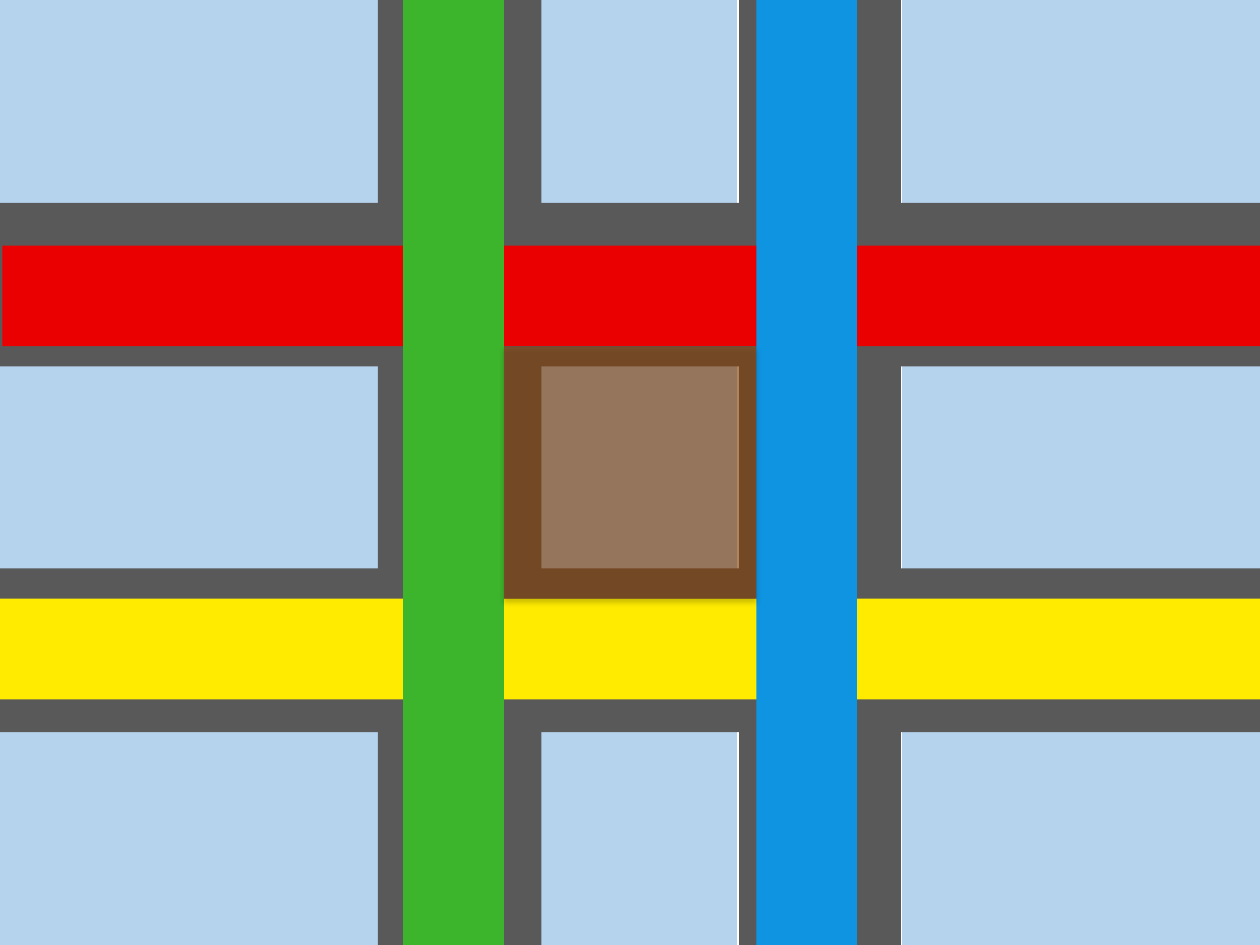
"""Build a slide of crossing coloured routes on grey roads around a shaded block."""
import pptx
import pptx.dml.color
import pptx.enum.shapes
import pptx.oxml
import pptx.oxml.ns
import pptx.util

Cm = pptx.util.Cm
RGBColor = pptx.dml.color.RGBColor
qn = pptx.oxml.ns.qn

SKY = RGBColor(0xB6, 0xD3, 0xEE)
ASPHALT = RGBColor(0x59, 0x59, 0x59)
WHITE = RGBColor(0xFF, 0xFF, 0xFF)
RED = RGBColor(0xEB, 0x00, 0x02)
YELLOW = RGBColor(0xFE, 0xEB, 0x00)
BLUE = RGBColor(0x0F, 0x94, 0xE2)
GREEN = RGBColor(0x3C, 0xB4, 0x2B)
BROWN = RGBColor(0x98, 0x48, 0x07)

SLIDE_WIDTH, SLIDE_HEIGHT = 25.4, 19.05
ROAD_LENGTH, ROAD_WIDTH = 27.31, 3.3
ROUTE_WIDTH = 2.03
BLOCK_SIDE = 5.08


def add_rectangle(shapes, left, top, width, height, color, rotation=0):
    rectangle = shapes.add_shape(
        pptx.enum.shapes.MSO_SHAPE.RECTANGLE, Cm(left), Cm(top), Cm(width), Cm(height)
    )
    rectangle.rotation = rotation
    rectangle.fill.solid()
    rectangle.fill.fore_color.rgb = color
    rectangle.line.fill.background()
    rectangle.shadow.inherit = False
    return rectangle


presentation = pptx.Presentation()
presentation.slide_width = Cm(SLIDE_WIDTH)
presentation.slide_height = Cm(SLIDE_HEIGHT)
slide = presentation.slides.add_slide(presentation.slide_layouts[6])

add_rectangle(slide.shapes, 0, 0, SLIDE_WIDTH, SLIDE_HEIGHT, SKY)

roads = [
    add_rectangle(slide.shapes, left, top, ROAD_LENGTH, ROAD_WIDTH, ASPHALT, rotation)
    for left, top, rotation in [
        (2.87, 8.59, 90),
        (-4.39, 7.82, 90),
        (-0.91, 4.09, 0),
        (-1.17, 11.46, 0),
    ]
]
right_road = roads[0]
right_road.line.color.rgb = WHITE
right_road.line.width = pptx.util.Pt(0.75)

routes = slide.shapes.add_group_shape()
for left, top, color, rotation in [
    (0.05, 4.95, RED, 0),
    (0, 12.07, YELLOW, 0),
    (3.56, 8.64, BLUE, 90),
    (-3.56, 8.64, GREEN, 90),
]:
    add_rectangle(routes.shapes, left, top, SLIDE_WIDTH, ROUTE_WIDTH, color, rotation)

block = add_rectangle(routes.shapes, 10.16, 6.99, BLOCK_SIDE, BLOCK_SIDE, BROWN)
block_color = block.element.spPr.find(qn("a:solidFill")).find(qn("a:srgbClr"))
block_color.append(pptx.oxml.parse_xml(
    f'<a:alpha {pptx.oxml.ns.nsdecls("a")} val="54000"/>'
))
block.element.spPr.find(qn("a:effectLst")).append(pptx.oxml.parse_xml(
    f'<a:outerShdw {pptx.oxml.ns.nsdecls("a")} blurRad="{pptx.util.Pt(3.1)}" '
    f'dist="{pptx.util.Pt(1.8)}" dir="5400000" rotWithShape="0">'
    '<a:srgbClr val="000000"><a:alpha val="35000"/></a:srgbClr></a:outerShdw>'
))

presentation.save("out.pptx")
